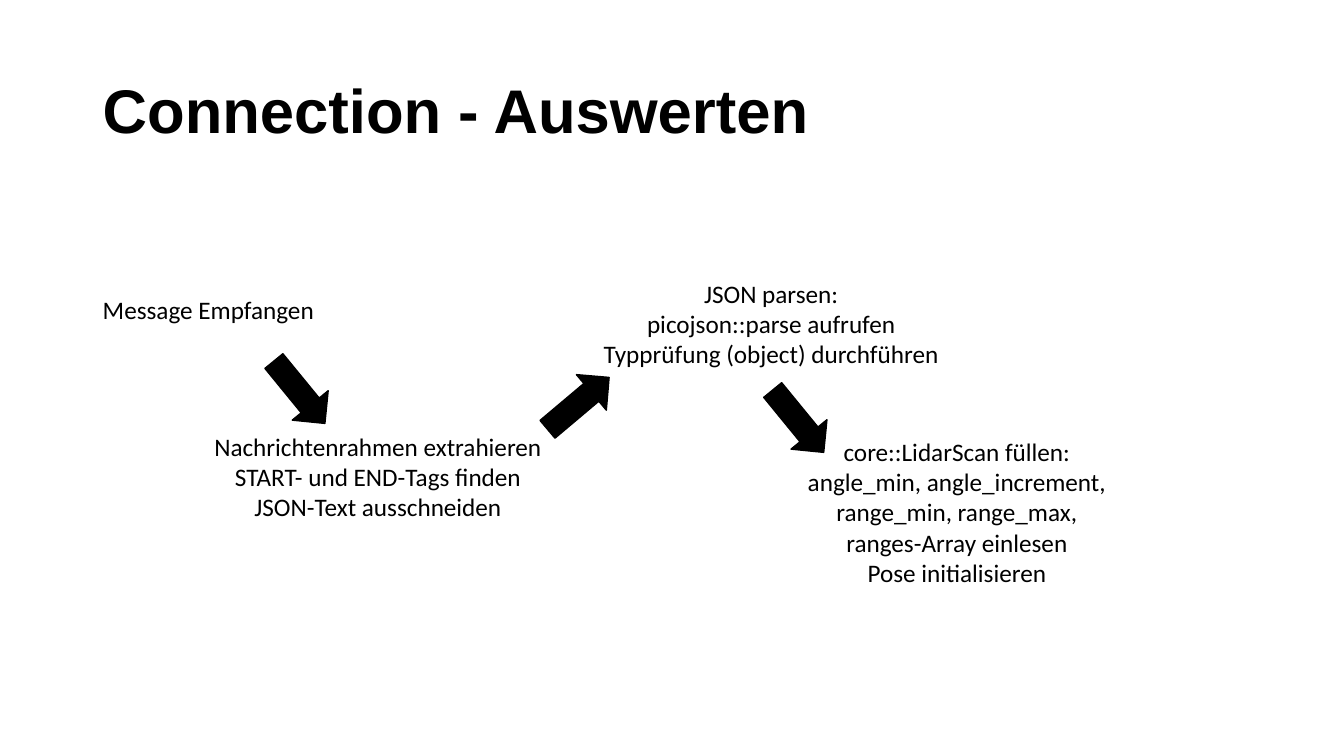
from dataclasses import dataclass

from pptx import Presentation
from pptx.dml.color import RGBColor
from pptx.enum.shapes import MSO_SHAPE as Shape
from pptx.enum.text import MSO_ANCHOR as Anchor, PP_ALIGN as Align
from pptx.util import Cm, Pt


@dataclass(frozen=True)
class Theme:
    ink: RGBColor = RGBColor(0, 0, 0)
    background: RGBColor = RGBColor(255, 255, 255)
    title_font: str = "Arial"
    body_font: str = "Calibri"
    title_size: Pt = Pt(44)
    body_size: Pt = Pt(18)
    outline: Pt = Pt(1)


@dataclass(frozen=True)
class Box:
    left: float
    top: float
    width: float
    height: float

    def inner(self, dx, dy, width, height):
        return Box(self.left + dx, self.top + dy, width, height)

    def lengths(self):
        return Cm(self.left), Cm(self.top), Cm(self.width), Cm(self.height)


THEME = Theme()
ARROW_WIDTH, ARROW_HEIGHT = 2.03, 1.17
DOWN, UP = 50.7, 319.9

STEPS = [
    ((0, 0.41, 6, 1.02), Align.LEFT, ["Message Empfangen"]),
    ((2.23, 3.86, 9.91, 2.57), Align.CENTER, [
        "Nachrichtenrahmen extrahieren",
        "START- und END-Tags finden",
        "JSON-Text ausschneiden",
    ]),
    ((12.14, 0, 9.91, 2.57), Align.CENTER, [
        "JSON parsen:",
        "picojson::parse aufrufen",
        "Typprüfung (object) durchführen",
    ]),
    ((15.92, 3.99, 11.71, 4.11), Align.CENTER, [
        "core::LidarScan füllen:",
        "angle_min, angle_increment,",
        "range_min, range_max,",
        "ranges-Array einlesen",
        "Pose initialisieren",
    ]),
]
ARROWS = [(4.19, 2.42, DOWN), (11.22, 2.7, UP), (16.76, 3.15, DOWN)]


def add_lines(slide, box, lines, font_name, size, align=Align.LEFT, bold=False):
    frame = slide.shapes.add_textbox(*box.lengths()).text_frame
    frame.word_wrap = True
    frame.text = "\n".join(lines)
    for line in frame.paragraphs:
        line.alignment = align
        line.font.name = font_name
        line.font.size = size
        line.font.bold = bold
        line.font.color.rgb = THEME.ink
    return frame


def add_title(slide, box, title):
    frame = add_lines(slide, box, [title], THEME.title_font, THEME.title_size, bold=True)
    frame.vertical_anchor = Anchor.MIDDLE
    frame.paragraphs[0].line_spacing = 0.9


def add_arrow(slide, box, angle):
    arrow = slide.shapes.add_shape(Shape.RIGHT_ARROW, *box.lengths())
    arrow.rotation = angle
    arrow.shadow.inherit = False
    arrow.fill.solid()
    arrow.fill.fore_color.rgb = THEME.ink
    arrow.line.color.rgb = THEME.ink
    arrow.line.width = THEME.outline


def add_flow(slide, box):
    for place, align, lines in STEPS:
        add_lines(slide, box.inner(*place), lines, THEME.body_font, THEME.body_size, align)
    for dx, dy, angle in ARROWS:
        add_arrow(slide, box.inner(dx, dy, ARROW_WIDTH, ARROW_HEIGHT), angle)


def main():
    deck = Presentation()
    deck.slide_width, deck.slide_height = Cm(33.87), Cm(19.05)
    slide = deck.slides.add_slide(deck.slide_layouts[6])
    slide.background.fill.solid()
    slide.background.fill.fore_color.rgb = THEME.background
    add_title(slide, Box(2.34, 1.02, 29.21, 3.68), "Connection - Auswerten")
    add_flow(slide, Box(2.34, 6.88, 27.63, 8.1))
    deck.save("out.pptx")


if __name__ == "__main__":
    main()
